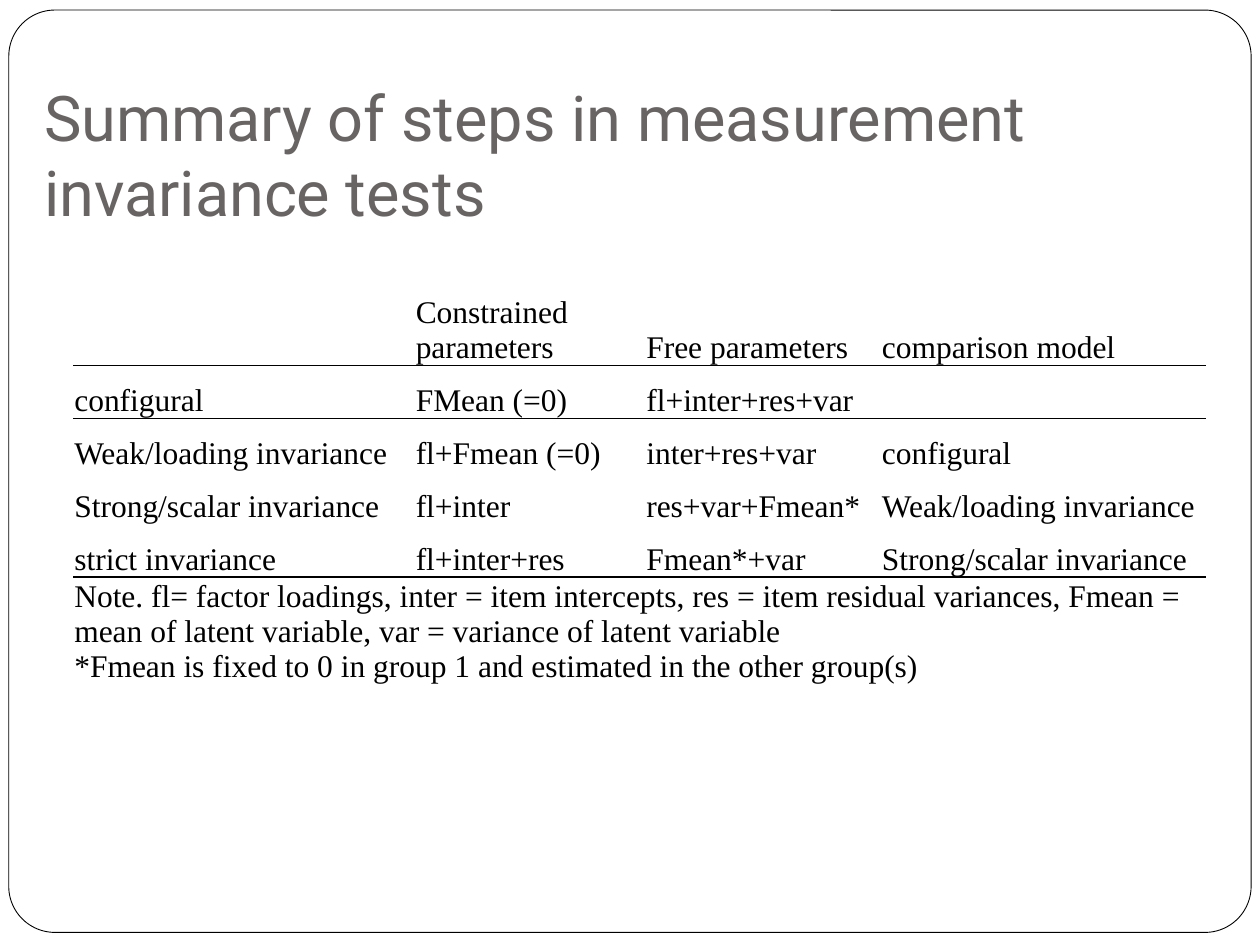
from lxml.etree import SubElement as Sub
from pptx import Presentation
from pptx.dml.color import RGBColor as Color
from pptx.enum.shapes import MSO_SHAPE as Shape
from pptx.enum.text import MSO_ANCHOR as Anchor, MSO_AUTO_SIZE as Fit, PP_ALIGN as Align
from pptx.oxml.ns import qn
from pptx.util import Inches, Pt

NO_GRID = "{2D5ABB26-0587-4C30-8999-92F81FD0307C}"
WIDTHS = [2.71, 1.83, 1.87, 2.58]
HEIGHTS = [0.57] + [0.42] * 4 + [0.85]
STEPS = [
    ["", "Constrained parameters", "Free parameters", "comparison model"],
    ["configural", "FMean (=0)", "fl+inter+res+var", ""],
    ["Weak/loading invariance", "fl+Fmean (=0)", "inter+res+var", "configural"],
    ["Strong/scalar invariance", "fl+inter", "res+var+Fmean*", "Weak/loading invariance"],
    ["strict invariance", "fl+inter+res", "Fmean*+var", "Strong/scalar invariance"],
]
NOTE = (
    "Note. fl= factor loadings, inter = item intercepts, res = item residual variances, "
    "Fmean = mean of latent variable, var = variance of latent variable\n"
    "*Fmean is fixed to 0 in group 1 and estimated in the other group(s)"
)
RULES = {0: 0.5, 4: 1}


def color(code):
    return Color.from_string(code)


class Page:
    ink = "000000"
    gray = "696464"
    paper = "FFFFFF"
    head = "Roboto"
    body = "Times New Roman"

    def __init__(self, deck):
        self.slide = deck.slides.add_slide(deck.slide_layouts[5])

    def font(self, para, name, size, code):
        para.font.name = name
        para.font.size = Pt(size)
        para.font.color.rgb = color(code)

    def frame(self, left, top, width, height):
        box = self.slide.shapes.add_shape(
            Shape.ROUNDED_RECTANGLE, Inches(left), Inches(top), Inches(width), Inches(height))
        box.adjustments[0] = 0.05
        box.shadow.inherit = False
        box.fill.solid()
        box.fill.fore_color.rgb = color(self.paper)
        box.line.color.rgb = color(self.ink)
        box.line.width = Pt(0.5)
        self.slide.shapes._spTree.insert(2, box._element)

    def title(self, text, left, top, width, height):
        title = self.slide.shapes.title
        title.left, title.top = Inches(left), Inches(top)
        title.width, title.height = Inches(width), Inches(height)
        area = title.text_frame
        area.text = text
        area.word_wrap = True
        area.auto_size = Fit.NONE
        area.vertical_anchor = Anchor.BOTTOM
        area.margin_bottom = Inches(0.1)
        para = area.paragraphs[0]
        para.alignment = Align.LEFT
        self.font(para, self.head, 36, self.gray)

    def table(self, rows, note, left, top):
        grid = self.slide.shapes.add_table(
            len(HEIGHTS), len(WIDTHS), Inches(left), Inches(top),
            Inches(sum(WIDTHS)), Inches(sum(HEIGHTS))).table
        grid.first_row = grid.horz_banding = False
        grid._tbl.tblPr.find(qn("a:tableStyleId")).text = NO_GRID
        for col, width in zip(grid.columns, WIDTHS):
            col.width = Inches(width)
        for row, height in zip(grid.rows, HEIGHTS):
            row.height = Inches(height)
        last = len(rows)
        grid.cell(last, 0).merge(grid.cell(last, len(WIDTHS) - 1))
        for r, row in enumerate(rows + [[note]]):
            for c, text in enumerate(row):
                self.cell(grid.cell(r, c), text)
        for r, weight in RULES.items():
            for c in range(len(WIDTHS)):
                self.rule(grid.cell(r, c), "a:lnB", weight)
                self.rule(grid.cell(r + 1, c), "a:lnT", weight)

    def cell(self, cell, text):
        cell.text = text
        cell.fill.background()
        cell.vertical_anchor = Anchor.BOTTOM
        cell.margin_left = cell.margin_right = cell.margin_top = Inches(0.01)
        cell.margin_bottom = 0
        for para in cell.text_frame.paragraphs:
            self.font(para, self.body, 18, self.ink)

    def rule(self, cell, side, weight):
        props = cell._tc.get_or_add_tcPr()
        line = Sub(props, qn(side), w=str(Pt(weight)))
        fill = Sub(line, qn("a:solidFill"))
        Sub(fill, qn("a:srgbClr"), val=self.ink)
        props.insert(0, line)


def main():
    deck = Presentation()
    deck.slide_width, deck.slide_height = Inches(10), Inches(7.5)
    page = Page(deck)
    page.frame(0.07, 0.08, 9.86, 7.32)
    page.title("Summary of steps in measurement invariance tests", 0.25, 0.67, 9, 1.25)
    page.table(STEPS, NOTE, 0.58, 2.33)
    deck.save("out.pptx")


if __name__ == "__main__":
    main()
